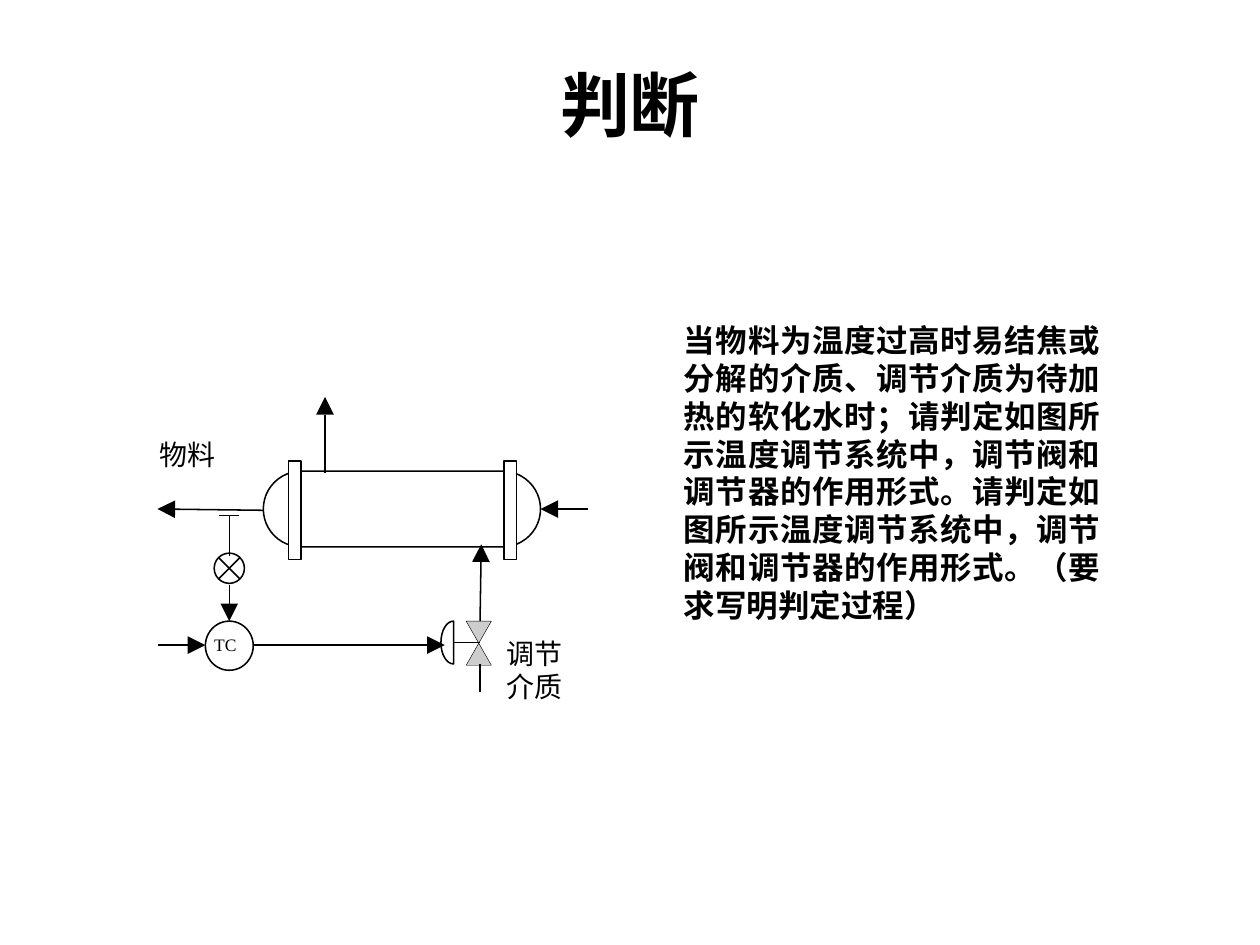
import math

import pptx
import pptx.util
import pptx.dml.color
import pptx.enum.shapes
import pptx.enum.text
import pptx.oxml.ns
import lxml.etree

Inches = pptx.util.Inches
Pt = pptx.util.Pt
MSO = pptx.enum.shapes.MSO_SHAPE
ALIGN = pptx.enum.text.PP_ALIGN
ANCHOR = pptx.enum.text.MSO_ANCHOR

COLORS = {"ink": "000000", "paper": "FFFFFF", "valve": "CDCDCD"}
LINE = 0.88
HEAD = 0.14

TITLE = "判断"
QUESTION = ("当物料为温度过高时易结焦或分解的介质、调节介质为待加热的软化水时；"
            "请判定如图所示温度调节系统中，调节阀和调节器的作用形式。"
            "请判定如图所示温度调节系统中，调节阀和调节器的作用形式。（要求写明判定过程）")

EQUIPMENT = [
    (MSO.ROUNDED_RECTANGLE, (2.09, 3.74, 2.2, 0.6), "paper", LINE),
    (MSO.RECTANGLE, (2.29, 3.66, 0.1, 0.78), "paper", LINE),
    (MSO.RECTANGLE, (4, 3.66, 0.1, 0.78), "paper", LINE),
    (MSO.FLOWCHART_COLLATE, (3.7, 4.93, 0.2, 0.35), "valve", 0.25),
    (MSO.FLOWCHART_SUMMING_JUNCTION, (1.7, 4.39, 0.24, 0.24), "paper", LINE),
    (MSO.OVAL, (1.63, 4.93, 0.38, 0.39), "paper", LINE),
]
ARROWS = [
    ((2.09, 4.05), (1.25, 4.04)),
    ((4.67, 4.04), (4.29, 4.04)),
    ((2.58, 3.75), (2.58, 3.15)),
    ((3.81, 4.93), (3.82, 4.32)),
    ((1.82, 4.64), (1.82, 4.93)),
    ((2.01, 5.12), (3.53, 5.12)),
    ((1.25, 5.12), (1.63, 5.12)),
]
PIPES = [
    ((3.81, 5.27), (3.81, 5.49)),
    ((3.81, 5.1), (3.6, 5.1)),
    ((1.82, 4.41), (1.82, 4.09)),
    ((1.9, 4.09), (1.74, 4.09)),
]
ACTUATOR = {"center": (3.6, 5.1), "radii": (0.1, 0.17), "steps": 16}
LABELS = [
    ("物料", (1.17, 3.42, 0.67, 0.37)),
    ("调节介质", (3.92, 5, 0.67, 0.64)),
]


def rgb(name):
    return pptx.dml.color.RGBColor.from_string(COLORS[name])


def style(sp, fill, width):
    sp.shadow.inherit = False
    sp.fill.solid()
    sp.fill.fore_color.rgb = rgb(fill)
    if width:
        sp.line.color.rgb = rgb("ink")
        sp.line.width = Pt(width)
    else:
        sp.line.fill.background()


def add_line(s, start, end):
    c = s.shapes.add_connector(pptx.enum.shapes.MSO_CONNECTOR.STRAIGHT,
                               *map(Inches, start + end))
    c.line.color.rgb = rgb("ink")
    c.line.width = Pt(LINE)
    lxml.etree.SubElement(c._element.spPr, pptx.oxml.ns.qn("a:effectLst"))


def add_outline(s, points, fill, width):
    emu = [(Inches(x), Inches(y)) for x, y in points]
    fb = s.shapes.build_freeform(*emu[0])
    fb.add_line_segments(emu[1:], close=True)
    style(fb.convert_to_shape(), fill, width)


def add_arrow(s, start, tip):
    dx, dy = tip[0] - start[0], tip[1] - start[1]
    length = math.hypot(dx, dy)
    ux, uy = dx / length, dy / length
    base = (tip[0] - ux * HEAD, tip[1] - uy * HEAD)
    half = HEAD / 2
    add_line(s, start, base)
    add_outline(s, [tip, (base[0] - uy * half, base[1] + ux * half),
                    (base[0] + uy * half, base[1] - ux * half)], "ink", None)


def add_text(s, text, box, size, font="Times New Roman", bold=False,
             align=ALIGN.LEFT, anchor=ANCHOR.TOP, inset=True):
    tf = s.shapes.add_textbox(*map(Inches, box)).text_frame
    tf.word_wrap = inset
    tf.vertical_anchor = anchor
    if not inset:
        tf.margin_left = tf.margin_right = tf.margin_top = tf.margin_bottom = 0
    p = tf.paragraphs[0]
    p.text = text
    p.alignment = align
    p.font.name = font
    p.font.size = Pt(size)
    p.font.bold = bold
    p.font.color.rgb = rgb("ink")


def main():
    prs = pptx.Presentation()
    prs.slide_width, prs.slide_height = Inches(10), Inches(7.5)
    s = prs.slides.add_slide(prs.slide_layouts[6])

    add_text(s, TITLE, (0.5, 0.3, 9, 1.04), 40, "Arial", True,
             ALIGN.CENTER, ANCHOR.MIDDLE)

    for kind, box, fill, width in EQUIPMENT:
        sp = s.shapes.add_shape(kind, *map(Inches, box))
        style(sp, fill, width)
        if kind == MSO.ROUNDED_RECTANGLE:
            sp.adjustments[0] = 0.5

    (cx, cy), (rx, ry), n = ACTUATOR.values()
    angles = [math.pi * (0.5 + i / n) for i in range(n + 1)]
    add_outline(s, [(cx + rx * math.cos(a), cy + ry * math.sin(a)) for a in angles],
                "paper", LINE)

    for start, end in PIPES:
        add_line(s, start, end)
    for start, tip in ARROWS:
        add_arrow(s, start, tip)

    add_text(s, "TC", (1.7, 5.03, 0.18, 0.17), 10, inset=False)
    for text, box in LABELS:
        add_text(s, text, box, 16)
    add_text(s, QUESTION, (5.33, 2.5, 3.5, 2.5), 18, "Arial", True, ALIGN.JUSTIFY)

    prs.save("out.pptx")


if __name__ == "__main__":
    main()
